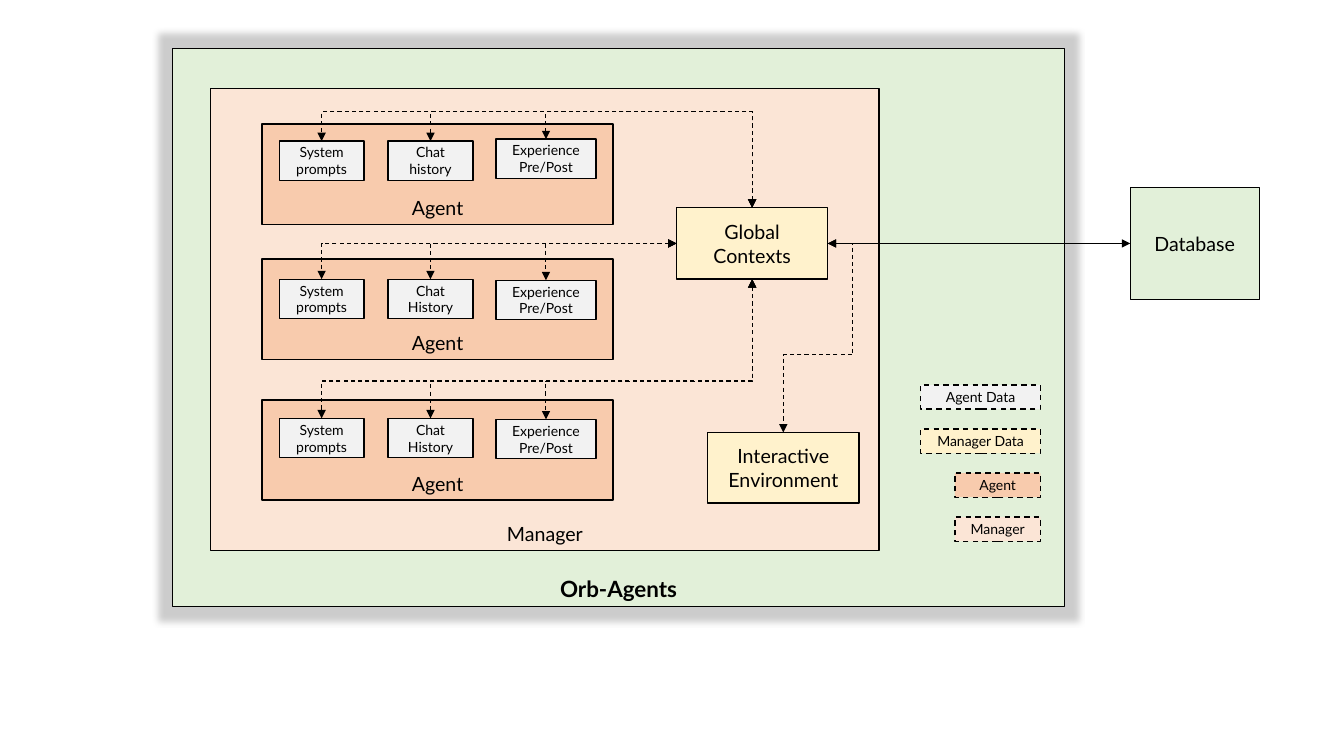
from collections import namedtuple
from lxml.etree import SubElement as Sub
from pptx import Presentation
from pptx.dml.color import RGBColor as RGB
from pptx.enum.dml import MSO_LINE as Dash
from pptx.enum.shapes import MSO_CONNECTOR as Wire, MSO_SHAPE as Form
from pptx.enum.text import MSO_ANCHOR as Anchor, PP_ALIGN as Align
from pptx.oxml.ns import qn
from pptx.util import Inches, Pt

BLACK = RGB(0x00, 0x00, 0x00)
GREEN = RGB(0xE2, 0xF0, 0xD9)
PINK = RGB(0xFB, 0xE5, 0xD6)
PEACH = RGB(0xF8, 0xCB, 0xAD)
CREAM = RGB(0xFF, 0xF2, 0xCC)
GRAY = RGB(0xF2, 0xF2, 0xF2)

FONT = "Lato"
CELL = 0.1  # side of one grid cell in inches

Box = namedtuple("Box", "x y w h")


def grid(num):
    """Turn grid cells into a length."""
    return Inches(num * CELL)


def inner(box, x, y, w, h):
    """Return a box placed relative to the corner of another."""
    return Box(box.x + x, box.y + y, w, h)


def write(shape, text, size=14, bold=False, anchor=Anchor.MIDDLE):
    """Fill a shape with centred text, one paragraph a line."""
    frame = shape.text_frame
    frame.word_wrap = True
    frame.vertical_anchor = anchor
    frame.text = text
    for para in frame.paragraphs:
        para.alignment = Align.CENTER
        font = para.font
        font.name, font.size, font.bold = FONT, Pt(size), bold
        font.color.rgb = BLACK


def block(slide, box, fill, text, dash=False, **style):
    """Draw a labelled rectangle."""
    shape = slide.shapes.add_shape(Form.RECTANGLE, *map(grid, box))
    shape.shadow.inherit = False
    shape.fill.solid()
    shape.fill.fore_color.rgb = fill
    shape.line.color.rgb = BLACK
    shape.line.width = Pt(1)
    if dash:
        shape.line.dash_style = Dash.DASH
    write(shape, text, **style)
    return shape


def glow(shape):
    """Put a soft shadow all around a shape."""
    effect = shape.element.spPr.find(qn("a:effectLst"))
    shade = Sub(effect, qn("a:outerShdw"), blurRad=str(grid(0.6)),
                sx="103000", sy="105000", algn="ctr", rotWithShape="0")
    tint = Sub(shade, qn("a:prstClr"), val="black")
    Sub(tint, qn("a:alpha"), val="20000")


def arrow(slide, start, end, kind=Wire.STRAIGHT, dash=True):
    """Draw a connector with a head at both ends."""
    wire = slide.shapes.add_connector(kind, *map(grid, start + end))
    wire.line.color.rgb = BLACK
    wire.line.width = Pt(0.75)
    if dash:
        wire.line.dash_style = Dash.DASH
    props = wire.element.spPr
    edge = props.find(qn("a:ln"))
    for tip in ("a:headEnd", "a:tailEnd"):
        Sub(edge, qn(tip), type="triangle")
    Sub(props, qn("a:effectLst"))
    return wire


def bend(wire, bends, *shares):
    """Set the number of bends of an elbow and where they fall."""
    geom = wire.element.spPr.find(qn("a:prstGeom"))
    geom.set("prst", f"bentConnector{bends + 1}")
    marks = geom.find(qn("a:avLst"))
    for num, share in enumerate(shares, 1):
        Sub(marks, qn("a:gd"), name=f"adj{num}",
            fmla=f"val {round(share * 100000)}")


def corner(slide, start, end):
    """Run sideways from start, then down to end."""
    bend(arrow(slide, start, end, Wire.ELBOW), 1)


def bridge(slide, start, end, row):
    """Run up or down to a row, left along it, then down to end."""
    (sx, sy), (ex, ey) = start, end
    mx, my = (sx + ex) / 2, (sy + ey) / 2
    long, tall = (sx - ex) / 2, abs(ey - sy) / 2
    down = ey > sy
    side = long if down else -long
    wire = arrow(slide, (mx - tall, my - side), (mx + tall, my + side),
                 Wire.ELBOW)
    turn = 90 if down else 270
    wire.element.spPr.find(qn("a:xfrm")).set("rot", str(turn * 60000))
    bend(wire, 2, (row - sy) / (ey - sy))


def agent(slide, box, dip, shift, chat):
    """Draw an agent with its data; return the tops of the data boxes."""
    block(slide, box, PEACH, "Agent", anchor=Anchor.BOTTOM)
    parts = (("System prompts", 1.7, 8.4, dip),
             (f"Chat\n{chat}", 12.5, 8.4, dip),
             ("Experience\nPre/Post", 23.2, 9.9, dip + shift))
    tops = []
    for text, x, w, y in parts:
        spot = inner(box, x, y, w, 3.9)
        block(slide, spot, GRAY, text, size=10)
        tops.append((spot.x + w / 2, spot.y))
    return tops


def manager(slide, box):
    """Draw the manager, its agents and data; return the hub's right side."""
    block(slide, box, PINK, "Manager", anchor=Anchor.BOTTOM)
    hub = inner(box, 46.2, 11.8, 15, 7.1)
    room = inner(box, 49.3, 34.1, 15, 7)
    block(slide, hub, CREAM, "Global Contexts")
    block(slide, room, CREAM, "Interactive\nEnvironment")

    rows = ((3.5, 10, 1.7, -0.2, "history"),
            (16.9, 10, 2, 0.1, "History"),
            (30.9, 9.9, 1.8, 0.1, "History"))
    high, level, low = [
        agent(slide, inner(box, 5.1, y, 34.8, h), dip, shift, chat)
        for y, h, dip, shift, chat in rows]

    mid, axis = hub.x + hub.w / 2, hub.y + hub.h / 2
    for top in high:
        bridge(slide, (mid, hub.y), top, box.y + 2.3)
    for top in level:
        corner(slide, (hub.x, axis), top)
    for top in low:
        bridge(slide, (mid, hub.y + hub.h), top, box.y + 29)

    port = (hub.x + hub.w, axis)
    goal = (room.x + room.w / 2, room.y)
    link = arrow(slide, port, goal, Wire.ELBOW)
    bend(link, 3, -2.5 / (port[0] - goal[0]), 0.59)
    return port


def legend(slide, box):
    """Draw the colour key, flush right in its box."""
    items = (("Agent Data", GRAY, 11.9), ("Manager Data", CREAM, 11.9),
             ("Agent", PEACH, 8.5), ("Manager", PINK, 8.5))
    high = 2.4
    step = (box.h - high) / (len(items) - 1)
    for num, (text, fill, wide) in enumerate(items):
        spot = inner(box, box.w - wide, num * step, wide, high)
        block(slide, spot, fill, text, dash=True, size=10)


def system(slide, box):
    """Draw the whole framework; return the port for the database."""
    glow(block(slide, box, GREEN, "Orb-Agents", size=16, bold=True,
               anchor=Anchor.BOTTOM))
    port = manager(slide, inner(box, 3.8, 4, 66.3, 45.8))
    legend(slide, inner(box, 74.2, 33.4, 11.9, 15.5))
    return port


def store(slide, box, port):
    """Draw the database and its link to a port."""
    block(slide, box, GREEN, "Database")
    arrow(slide, (box.x, box.y + box.h / 2), port, dash=False)


def main():
    """Build the slide and save it."""
    deck = Presentation()
    deck.slide_width, deck.slide_height = Inches(13.33), Inches(7.5)
    slide = deck.slides.add_slide(deck.slide_layouts[6])
    port = system(slide, Box(17.1, 4.8, 88.5, 55.4))
    store(slide, Box(112.1, 18.6, 12.8, 11.1), port)
    deck.save("out.pptx")


main()
